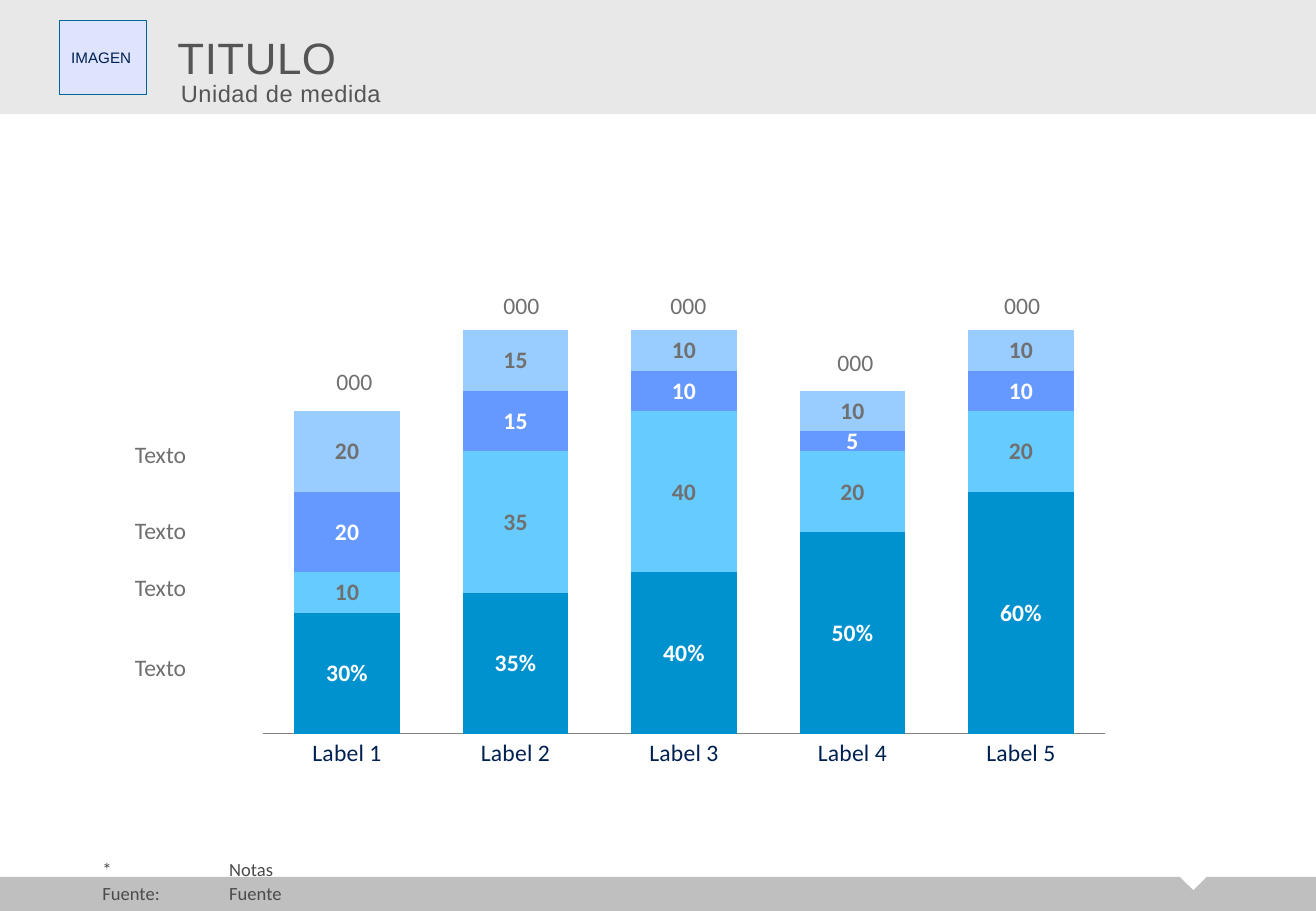
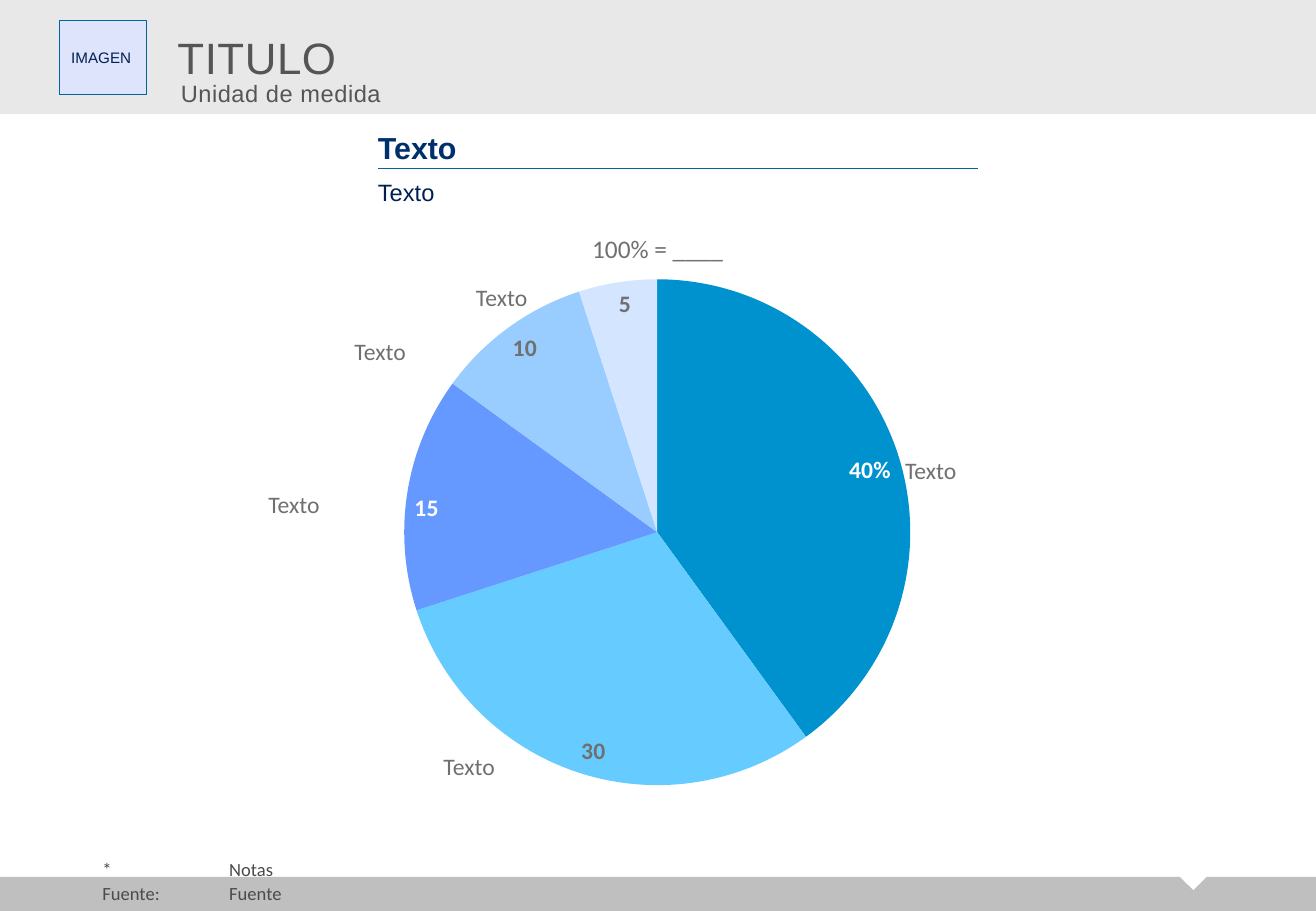
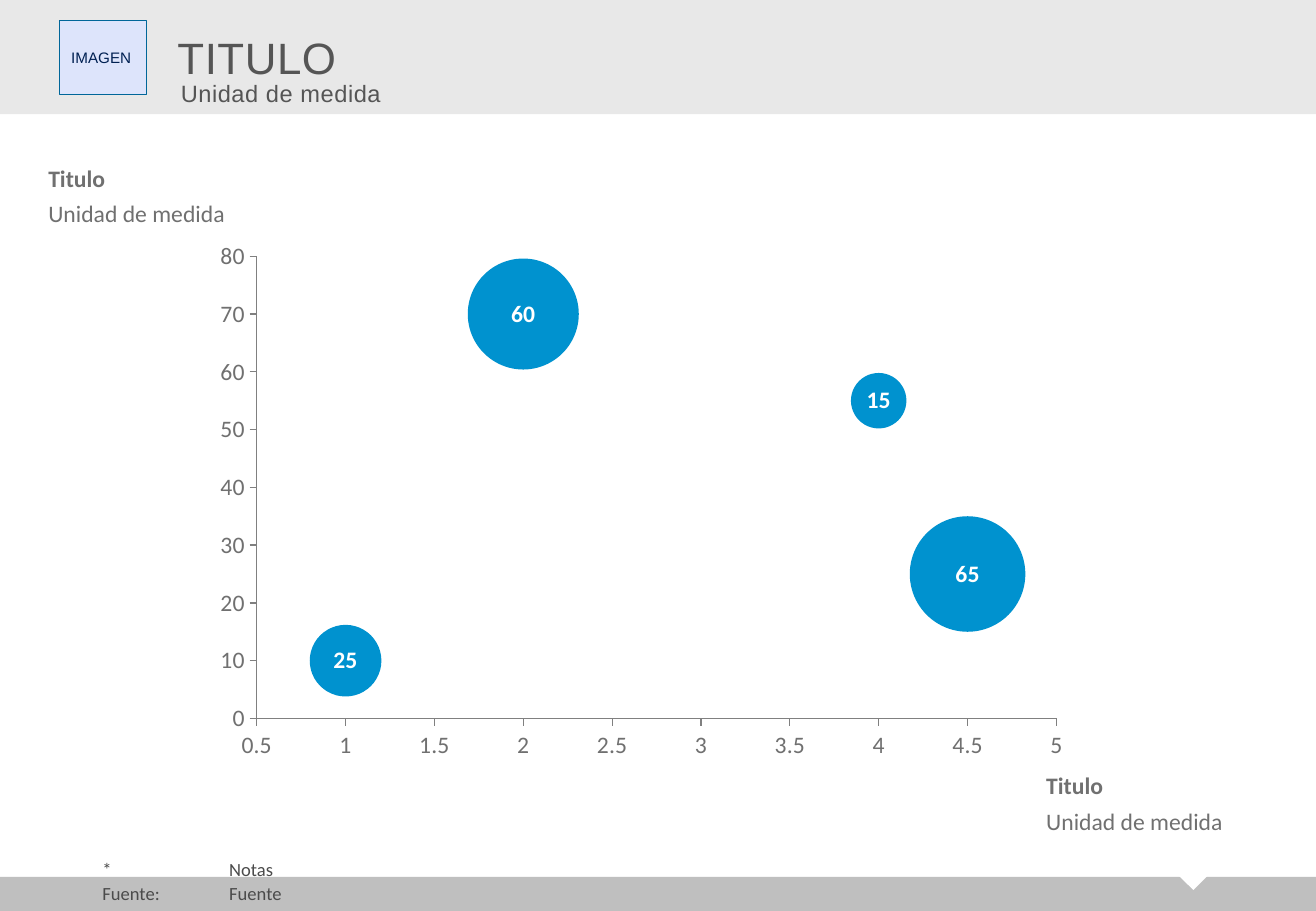
from dataclasses import dataclass

from lxml.etree import SubElement
from pptx import Presentation
from pptx.chart.data import BubbleChartData, CategoryChartData
from pptx.dml.color import RGBColor
from pptx.enum.chart import XL_CHART_TYPE as Kind
from pptx.enum.chart import XL_LABEL_POSITION as Spot
from pptx.enum.chart import XL_TICK_MARK as Tick
from pptx.enum.shapes import MSO_CONNECTOR as Link
from pptx.enum.shapes import MSO_SHAPE as Form
from pptx.enum.text import MSO_ANCHOR as Anchor
from pptx.enum.text import PP_ALIGN as Align
from pptx.oxml.ns import qn
from pptx.util import Cm, Pt


@dataclass(frozen=True)
class Theme:
    band: str = "E8E8E8"
    foot: str = "BFBFBF"
    white: str = "FFFFFF"
    head: str = "555555"
    note: str = "4B4B4B"
    gray: str = "707070"
    axis: str = "808080"
    navy: str = "002052"
    deep: str = "00306B"
    line: str = "006699"
    icon: str = "DDE4FB"
    fills: tuple = ("0092CF", "66CCFF", "6699FF", "99CCFF", "D4E5FF")
    sans: str = "Arial"
    body: str = "Calibri"
    title: int = 26
    large: int = 18
    total: int = 15
    text: int = 14
    small: int = 11
    tiny: int = 9


@dataclass(frozen=True)
class Box:
    """A rectangle in centimetres."""
    x: float
    y: float
    w: float
    h: float

    def sub(self, x, y, w, h):
        return Box(self.x + x, self.y + y, w, h)

    def emu(self):
        return Cm(self.x), Cm(self.y), Cm(self.w), Cm(self.h)


T = Theme()
PAGE = Box(0, 0, 27.51, 19.05)
HEAD = Box(0, 0, PAGE.w, 2.39)
FOOT = Box(0, 18.34, PAGE.w, 0.71)
LINE = 0.61
PERCENT = 'General"%"'


def rgb(code):
    return RGBColor.from_string(code)


def style(font, size=T.text, color=T.gray, bold=False, name=T.body):
    font.size, font.bold, font.name = Pt(size), bold, name
    font.color.rgb = rgb(color)


def write(frame, text, align=Align.LEFT, anchor=Anchor.TOP, inset=(0, 0, 0, 0),
          wrap=True, spc=0, tabs=(), lead=None, after=None, **font):
    """Fill a text frame, one paragraph for each line of text."""
    frame.word_wrap, frame.vertical_anchor = wrap, anchor
    (frame.margin_left, frame.margin_top,
     frame.margin_right, frame.margin_bottom) = map(Cm, inset)
    for i, line in enumerate(text.split("\n")):
        para = frame.add_paragraph() if i else frame.paragraphs[0]
        para.alignment = align
        if lead:
            para.line_spacing = lead
        if after:
            para.space_after = Pt(after)
        if tabs:
            stops = SubElement(para._p.get_or_add_pPr(), qn("a:tabLst"))
            for stop in tabs:
                SubElement(stops, qn("a:tab"), pos=str(Cm(stop)), algn="l")
        run = para.add_run()
        run.text = line
        style(run.font, **font)
        if spc:
            run.font._element.set("spc", str(spc))


def label(slide, box, text, **form):
    write(slide.shapes.add_textbox(*box.emu()).text_frame, text, **form)


def block(slide, form, box, fill, line=None):
    shape = slide.shapes.add_shape(form, *box.emu())
    shape.shadow.inherit = False
    shape.fill.solid()
    shape.fill.fore_color.rgb = rgb(fill)
    if line:
        shape.line.color.rgb, shape.line.width = rgb(line), Pt(0.75)
    else:
        shape.line.fill.background()
    return shape


def rule(slide, box):
    x, y, w, _ = box.emu()
    line = slide.shapes.add_connector(Link.STRAIGHT, x, y, x + w, y)
    line.line.color.rgb, line.line.width = rgb(T.line), Pt(0.75)
    SubElement(line._element.spPr, qn("a:effectLst"))


def bands(slide, layout):
    """Draw the bands and hand them to the layout that all slides share."""
    arrow = block(slide, Form.ISOSCELES_TRIANGLE,
                  FOOT.sub(24.64, -0.03, 0.61, 0.3), T.white)
    arrow.rotation = 180
    parts = (block(slide, Form.RECTANGLE, HEAD, T.band),
             block(slide, Form.RECTANGLE, FOOT, T.foot), arrow)
    for i, part in enumerate(parts):
        part._element.nvSpPr.cNvPr.set("id", str(20 + i))
        layout.shapes._spTree.insert(2 + i, part._element)


def header(slide, box):
    title = slide.shapes.title
    title.left, title.top, title.width, title.height = box.emu()
    form = dict(color=T.head, name=T.sans, spc=30)
    write(title.text_frame, "TITULO", size=T.title, anchor=Anchor.MIDDLE,
          inset=(3.71, 0, 0, 0), **form)
    icon = block(slide, Form.RECTANGLE, box.sub(1.24, 0.43, 1.83, 1.55),
                 T.icon, T.line)
    write(icon.text_frame, "IMAGEN", size=T.tiny, color=T.navy, name=T.sans,
          anchor=Anchor.MIDDLE, inset=(0.25, 0.13, 0.25, 0.13))
    label(slide, box.sub(3.78, 1.65, 22.86, LINE), "Unidad de medida", **form)


def footer(slide, box):
    label(slide, box.sub(0.46, -0.38, 26.01, 0.97),
          "\t*\tNotas\n\tFuente:\tFuente", size=T.small, color=T.note,
          anchor=Anchor.BOTTOM, tabs=(1.68, 4.33), lead=0.95, after=2)


def graph(slide, box, kind, data):
    chart = slide.shapes.add_chart(kind, *box.emu(), data).chart
    chart.has_legend = chart.has_title = False
    style(chart.font, color=T.navy, name=T.sans)
    return chart


def paint(part, color):
    part.format.fill.solid()
    part.format.fill.fore_color.rgb = rgb(color)


def values(tags, color, spot=None, form="General"):
    tags.show_value = True
    tags.number_format, tags.number_format_is_linked = form, False
    style(tags.font, color=color, bold=True)
    if spot is not None:
        tags.position = spot


def scale(axis, tick, color, low=None, high=None, step=None):
    axis.has_major_gridlines = False
    axis.major_tick_mark, axis.minor_tick_mark = tick, Tick.NONE
    axis.format.line.color.rgb, axis.format.line.width = rgb(T.axis), Pt(0.75)
    axis.minimum_scale, axis.maximum_scale = low, high
    if step:
        axis.major_unit = step
    style(axis.tick_labels.font, color=color)


def bars(slide, box):
    rows = ((30, 35, 40, 50, 60), (10, 35, 40, 20, 20),
            (20, 15, 10, 5, 10), (20, 15, 10, 10, 10))
    data = CategoryChartData()
    data.categories = [f"Label {i}" for i in range(1, 6)]
    for i, row in enumerate(rows, 1):
        data.add_series(f"Series {i}", row)
    chart = graph(slide, box, Kind.COLUMN_STACKED, data)
    plot = chart.plots[0]
    plot.gap_width, plot.overlap, plot.vary_by_categories = 60, 100, False
    scale(chart.category_axis, Tick.NONE, T.navy)
    scale(chart.value_axis, Tick.NONE, T.navy, 0, 120)
    chart.value_axis.visible = False
    for i, row in enumerate(plot.series):
        paint(row, T.fills[i])
        values(row.data_labels, T.gray if i % 2 else T.white,
               form="General" if i else PERCENT)
    for i, total in enumerate(map(sum, zip(*rows))):
        spot = box.sub(1.9 + 3.49 * i, 1.08 + 0.08 * (100 - total), 0.76, LINE)
        label(slide, spot, "000", align=Align.CENTER, wrap=False)
    for y in (4.19, 5.79, 6.98, 8.66):
        label(slide, box.sub(-2.31, y, 3.12, LINE), "Texto")


def heading(slide, box):
    label(slide, box.sub(0, 0, box.w, 0.64), "Texto", size=T.large,
          color=T.deep, bold=True, name=T.sans, anchor=Anchor.BOTTOM)
    rule(slide, box.sub(0, 0.71, box.w, 0))
    label(slide, box.sub(0, 0.91, box.w, LINE), "Texto", color=T.navy,
          name=T.sans)


def pie(slide, box):
    data = CategoryChartData()
    data.categories = ["1", "2", "3", "4", "5"]
    data.add_series("Series 1", (40, 30, 15, 10, 5))
    plot = graph(slide, box, Kind.PIE, data).plots[0]
    plot.vary_by_categories = True
    row = plot.series[0]
    values(row.data_labels, T.gray, Spot.INSIDE_END)
    for i, color in enumerate(T.fills):
        paint(row.points[i], color)
    for i in (0, 2):
        tag = row.points[i].data_label
        style(tag.font, color=T.white, bold=True)
        tag.position = Spot.INSIDE_END
    first = next(row._element.iter(qn("c:dLbl")))
    form = SubElement(first, qn("c:numFmt"), formatCode=PERCENT,
                      sourceLinked="0")
    first.insert(1, form)
    label(slide, box.sub(5.46, -0.61, 7.44, 0.64), "100% = ____",
          size=T.total, align=Align.CENTER)
    for x, y in ((5.38, 0.43), (2.84, 1.55), (1.04, 4.75), (4.7, 10.24),
                 (14.35, 4.04)):
        label(slide, box.sub(x, y, 2.79, LINE), "Texto")


def bubbles(slide, box):
    data = BubbleChartData()
    row = data.add_series("Series 1")
    for x, y, size in ((1, 10, 25), (2, 70, 60), (4.5, 25, 65), (4, 55, 15)):
        row.add_data_point(x, y, size)
    chart = graph(slide, box, Kind.BUBBLE, data)
    plot = chart.plots[0]
    plot._element.find(qn("c:varyColors")).set("val", "0")
    paint(plot.series[0], T.fills[0])
    plot.has_data_labels = True
    values(plot.data_labels, T.white, Spot.CENTER)
    scale(chart.category_axis, Tick.OUTSIDE, T.gray, 0.5, 5, 0.5)
    scale(chart.value_axis, Tick.OUTSIDE, T.gray, 0, 80, 10)
    for x, y in ((-3.23, -1.4), (17.63, 11.3)):
        label(slide, box.sub(x, y, 4.67, LINE), "Titulo", bold=True)
        label(slide, box.sub(x, y + 0.74, 4.67, LINE), "Unidad de medida")


def main():
    deck = Presentation()
    deck.slide_width, deck.slide_height = Cm(PAGE.w), Cm(PAGE.h)
    layout = deck.slide_layouts[5]
    pages = (((bars, Box(5.13, 5, 18.34, 11.28)),),
             ((pie, Box(4.57, 5.49, 18.34, 11.28)),
              (heading, Box(7.9, 2.82, 12.55, 1.52))),
             ((bubbles, Box(4.24, 4.83, 18.34, 11.28)),))
    for i, parts in enumerate(pages):
        slide = deck.slides.add_slide(layout)
        if i == 0:
            bands(slide, layout)
        header(slide, HEAD)
        footer(slide, FOOT)
        for draw, box in parts:
            draw(slide, box)
    deck.save("out.pptx")


if __name__ == "__main__":
    main()
